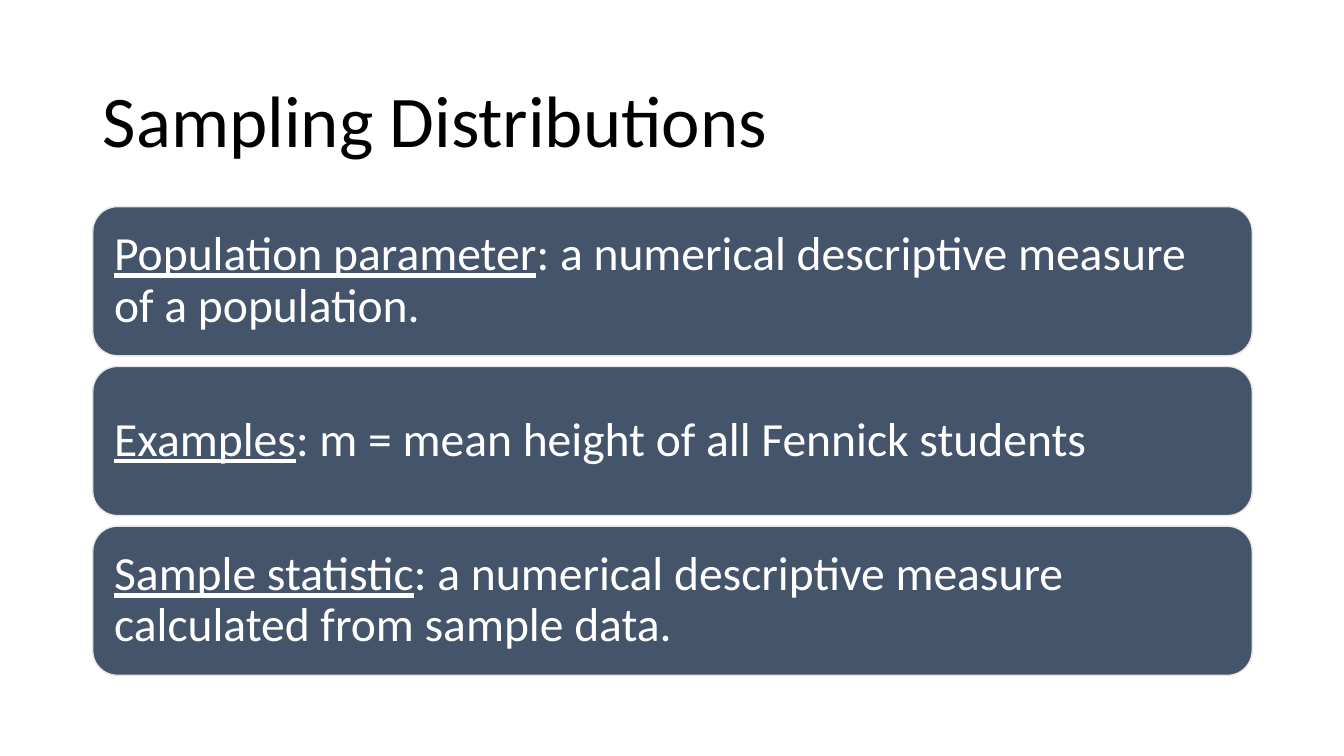
from dataclasses import dataclass

from pptx import Presentation
from pptx.dml.color import RGBColor
from pptx.enum.shapes import MSO_SHAPE as Shape
from pptx.enum.text import MSO_ANCHOR as Anchor, MSO_AUTO_SIZE as AutoSize, PP_ALIGN as Align
from pptx.slide import Slide
from pptx.text.text import TextFrame
from pptx.util import Inches, Pt

FONT = "Calibri"
BLACK, WHITE, SLATE, PALE_GREY = "000000", "FFFFFF", "44546A", "E7E6E6"
LEFT, WIDTH = 0.92, 11.5
CARD_TOP, CARD_HEIGHT, CARD_STEP = 2.05, 1.48, 1.585


@dataclass
class Span:
    text: str
    underline: bool = False


@dataclass
class Card:
    term: str
    meaning: str


CARDS = [
    Card("Population parameter", ": a numerical descriptive measure of a population."),
    Card("Examples", ": m = mean height of all Fennick students"),
    Card("Sample statistic", ": a numerical descriptive measure calculated from sample data."),
]


def rgb(code: str) -> RGBColor:
    return RGBColor.from_string(code)


def write(frame: TextFrame, spans: list[Span], size: float, color: str) -> None:
    """Fill a text frame with one left-aligned, vertically centred paragraph."""
    frame.word_wrap = True
    frame.auto_size = AutoSize.NONE
    frame.vertical_anchor = Anchor.MIDDLE
    para = frame.paragraphs[0]
    para.alignment = Align.LEFT
    para.line_spacing = 0.9
    for span in spans:
        run = para.add_run()
        run.text = span.text
        run.font.name = FONT
        run.font.size = Pt(size)
        run.font.color.rgb = rgb(color)
        run.font.underline = span.underline


def add_title(page: Slide, text: str) -> None:
    title = page.shapes.title
    title.left, title.top = Inches(LEFT), Inches(0.61)
    title.width, title.height = Inches(WIDTH), Inches(1.24)
    write(title.text_frame, [Span(text)], 52, BLACK)


def add_card(page: Slide, card: Card, top: float) -> None:
    box = page.shapes.add_shape(
        Shape.ROUNDED_RECTANGLE, Inches(LEFT), Inches(top), Inches(WIDTH), Inches(CARD_HEIGHT)
    )
    box.shadow.inherit = False
    box.fill.solid()
    box.fill.fore_color.rgb = rgb(SLATE)
    box.line.color.rgb = rgb(PALE_GREY)
    box.line.width = Pt(1)
    frame = box.text_frame
    frame.margin_left = frame.margin_right = Inches(0.14)
    frame.margin_top = frame.margin_bottom = Inches(0.14)
    write(frame, [Span(card.term, underline=True), Span(card.meaning)], 34, WHITE)


def main() -> None:
    deck = Presentation()
    deck.slide_width, deck.slide_height = Inches(13.33), Inches(7.5)
    page = deck.slides.add_slide(deck.slide_layouts[5])

    # Heading
    add_title(page, "Sampling Distributions")

    # Stack of definition cards
    for row, card in enumerate(CARDS):
        add_card(page, card, CARD_TOP + row * CARD_STEP)

    deck.save("out.pptx")


if __name__ == "__main__":
    main()
